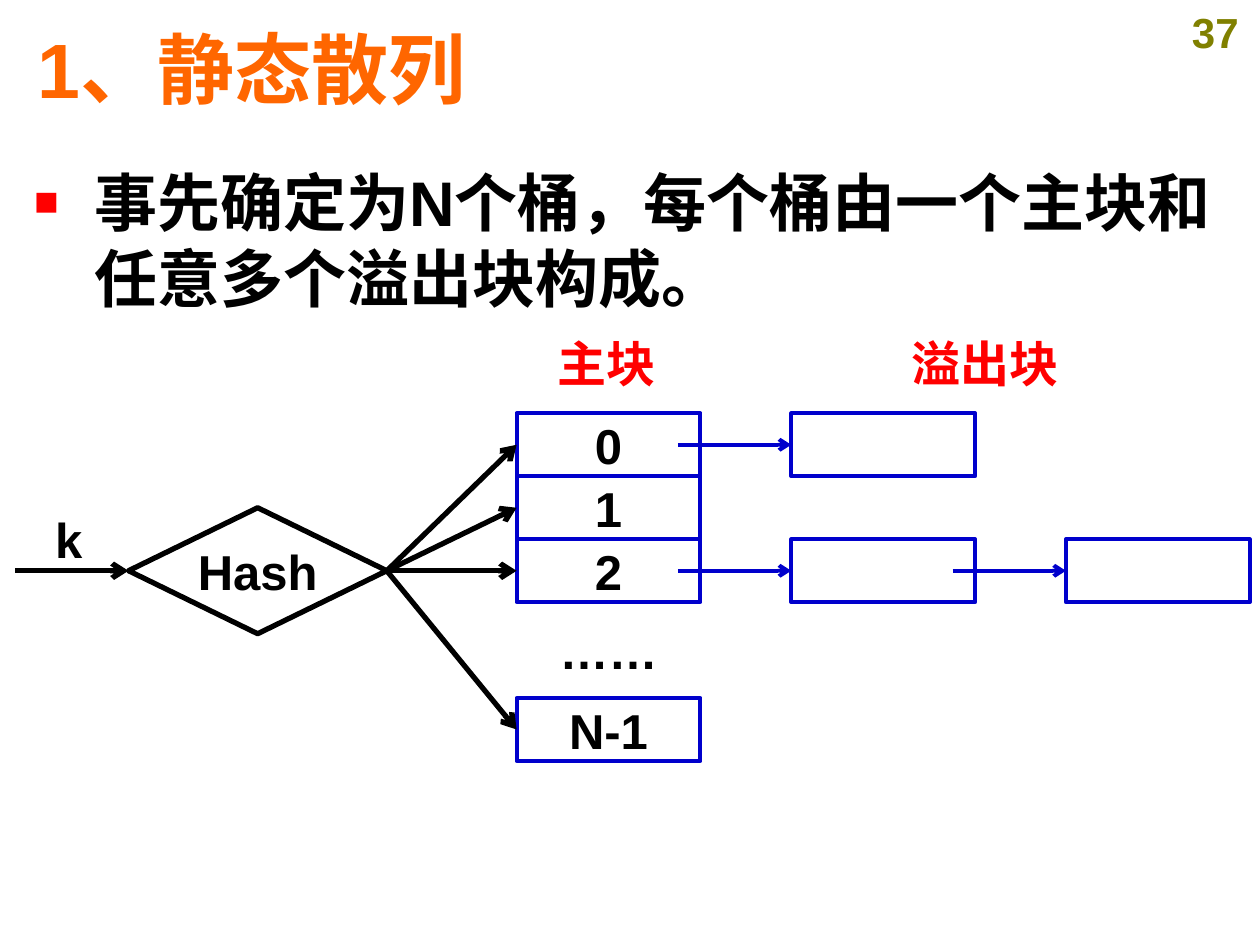
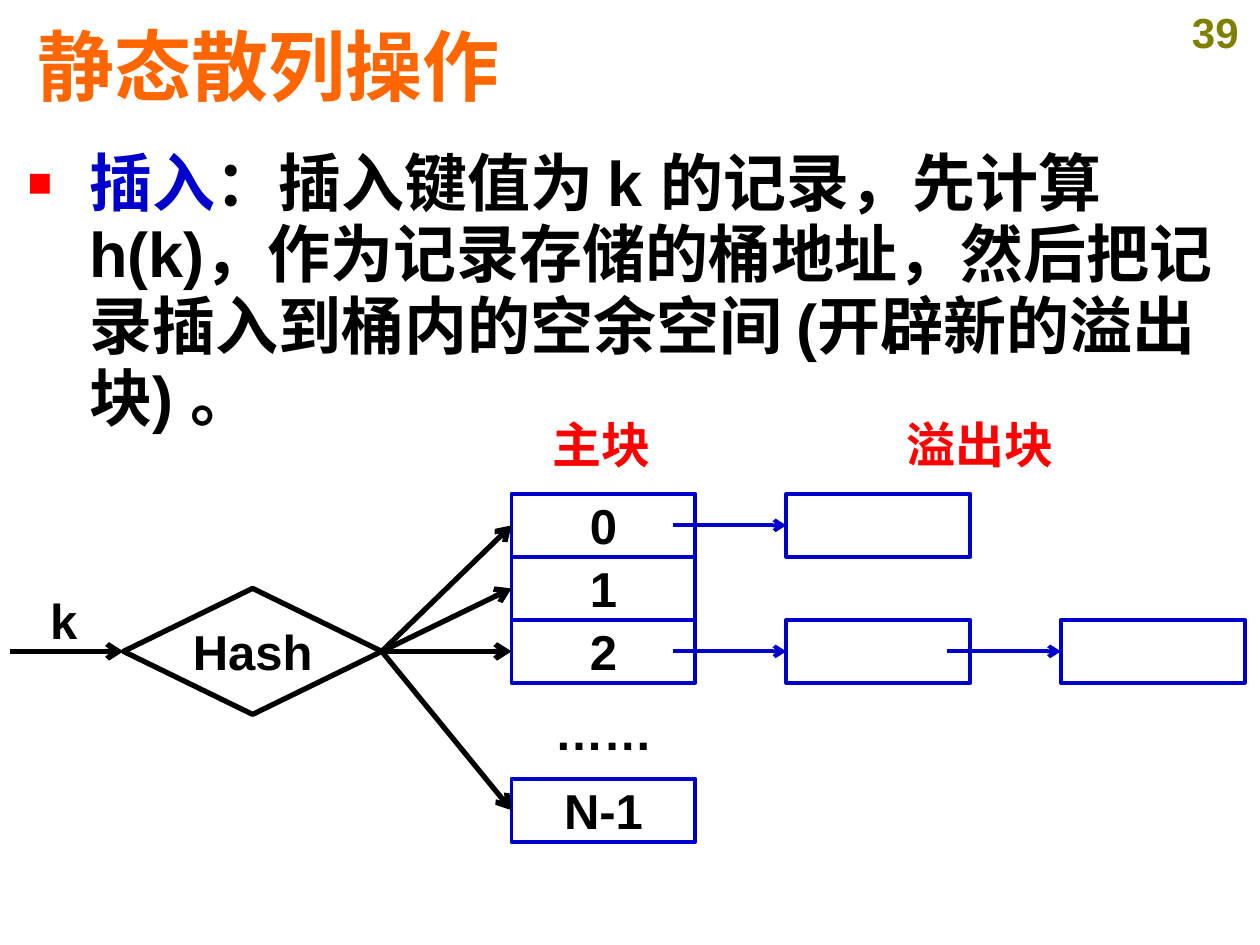
"""Build two slides on static hashing with a shared bucket diagram."""
from lxml.etree import SubElement
from pptx import Presentation
from pptx.dml.color import RGBColor as RGB
from pptx.enum.shapes import MSO_CONNECTOR as LINE, MSO_SHAPE as SHAPE
from pptx.enum.text import MSO_ANCHOR as ANCHOR, MSO_AUTO_SIZE as FIT, PP_ALIGN as ALIGN
from pptx.oxml.ns import qn
from pptx.util import Pt

PX = 9144
FONT = "Arial"
INK = {"title": "FF6600", "text": "000000", "mark": "FF0000", "block": "0000CC", "page": "808000"}
CELL_W, CELL_H, STEP = 146, 50, 218
LEFT, TOP = 410, 328
TAIL = 18


def px(*nums):
    return [n * PX for n in nums]


def write(frame, runs, size, align=ALIGN.CENTER, lead=1.0):
    frame.auto_size = FIT.NONE
    para = frame.paragraphs[0]
    para.alignment = align
    para.line_spacing = lead
    para.space_before = Pt(0)
    for text, ink in runs:
        run = para.add_run()
        run.text = text
        run.font.name = FONT
        run.font.size = Pt(size)
        run.font.bold = True
        run.font.color.rgb = RGB.from_string(INK[ink])
    return para


pages = [
    {"page": "37", "title": "1、静态散列", "head": 16, "body": (17, 125, 964, 577),
     "indent": 48, "lead": 1.0, "shift": (0, 0),
     "runs": [("事先确定为N个桶，每个桶由一个主块和任意多个溢出块构成。", "text")]},
    {"page": "39", "title": "静态散列操作", "head": 13, "body": (12, 113, 969, 600),
     "indent": 49, "lead": 0.95, "shift": (-4, 64),
     "runs": [("插入", "block"),
              ("：插入键值为 k 的记录，先计算 h(k)，作为记录存储的桶地址，"
               "然后把记录插入到桶内的空余空间 (开辟新的溢出块) 。", "text")]},
]
cells = [("0", 0, 0), ("1", 0, 50), ("2", 0, 100), ("N-1", 0, 226),
         ("", 1, 0), ("", 1, 100), ("", 2, 100)]
labels = [("主块", "mark", 399, 269, 165, 48, 0.8),
          ("溢出块", "mark", 699, 269, 165, 48, 0.8),
          ("……", "text", 410, 491, CELL_W, CELL_H, 1.0),
          ("k", "text", 31, 403, 47, 50, 1.0)]

prs = Presentation()
prs.slide_width, prs.slide_height = px(1000, 750)

for page in pages:
    slide = prs.slides.add_slide(prs.slide_layouts[1])
    shapes = slide.shapes
    dx, dy = page["shift"]

    title = shapes.title
    title.left, title.top, title.width, title.height = px(20, page["head"], 947, 76)
    title.text_frame.vertical_anchor = ANCHOR.MIDDLE
    write(title.text_frame, [(page["title"], "title")], 44, ALIGN.LEFT)

    body = slide.placeholders[1]
    body.left, body.top, body.width, body.height = px(*page["body"])
    para = write(body.text_frame, page["runs"], 36, ALIGN.LEFT, page["lead"])
    props = para._p.get_or_add_pPr()
    props.set("marL", str(page["indent"] * PX))
    props.set("indent", str(-page["indent"] * PX))
    tint = SubElement(props, qn("a:buClr"))
    SubElement(tint, qn("a:srgbClr"), val=INK["mark"])
    SubElement(props, qn("a:buSzPct"), val="65000")
    SubElement(props, qn("a:buFont"), typeface=FONT)
    SubElement(props, qn("a:buChar"), char="■")

    number = shapes.add_textbox(*px(929, 0, 71, 50))
    write(number.text_frame, [(page["page"], "page")], 24)

    for text, ink, x, y, w, h, lead in labels:
        label = shapes.add_textbox(*px(x + dx, y + dy, w, h))
        frame = label.text_frame
        frame.word_wrap = lead < 1
        frame.vertical_anchor = ANCHOR.TOP if lead < 1 else ANCHOR.MIDDLE
        write(frame, [(text, ink)], 28, lead=lead)

    blocks = [(SHAPE.RECTANGLE, text, LEFT + col * STEP, TOP + y, CELL_W, CELL_H, "block", 2.25)
              for text, col, y in cells]
    blocks.append((SHAPE.DIAMOND, "Hash", 102, 403, 205, 100, "text", 3))
    drawn = []
    for kind, text, x, y, w, h, ink, width in blocks:
        block = shapes.add_shape(kind, *px(x + dx, y + dy, w, h))
        block.shadow.inherit = False
        block.fill.background()
        block.line.color.rgb = RGB.from_string(INK[ink])
        block.line.width = Pt(width)
        if text:
            frame = block.text_frame
            frame.word_wrap = False
            frame.vertical_anchor = ANCHOR.MIDDLE
            frame.margin_left = frame.margin_right = 0
            frame.margin_top = frame.margin_bottom = 0
            write(frame, [(text, "text")], 28)
        drawn.append(block)
    *buckets, first, second, third, hasher = drawn

    arrows = [(None, hasher, 12 + dx, "text", 3)]
    arrows += [(hasher, bucket, 307 + dx, "text", 3) for bucket in buckets]
    arrows += [(None, block, LEFT + col * STEP + CELL_W - TAIL + dx, "block", 2.25)
               for col, block in enumerate([first, second])]
    arrows.append((None, third, LEFT + STEP + CELL_W - TAIL + dx, "block", 2.25))
    arrows[6] = (None, second, LEFT + CELL_W - TAIL + dx, "block", 2.25)
    for start, end, x, ink, width in arrows:
        mid = end.top + end.height // 2
        arrow = shapes.add_connector(LINE.STRAIGHT, x * PX, mid, end.left, mid)
        if start:
            arrow.begin_connect(start, 3)
        arrow.end_connect(end, 1)
        arrow.line.color.rgb = RGB.from_string(INK[ink])
        arrow.line.width = Pt(width)
        SubElement(arrow.line._get_or_add_ln(), qn("a:tailEnd"), type="arrow")
        SubElement(arrow._element.spPr, qn("a:effectLst"))

prs.save("out.pptx")
